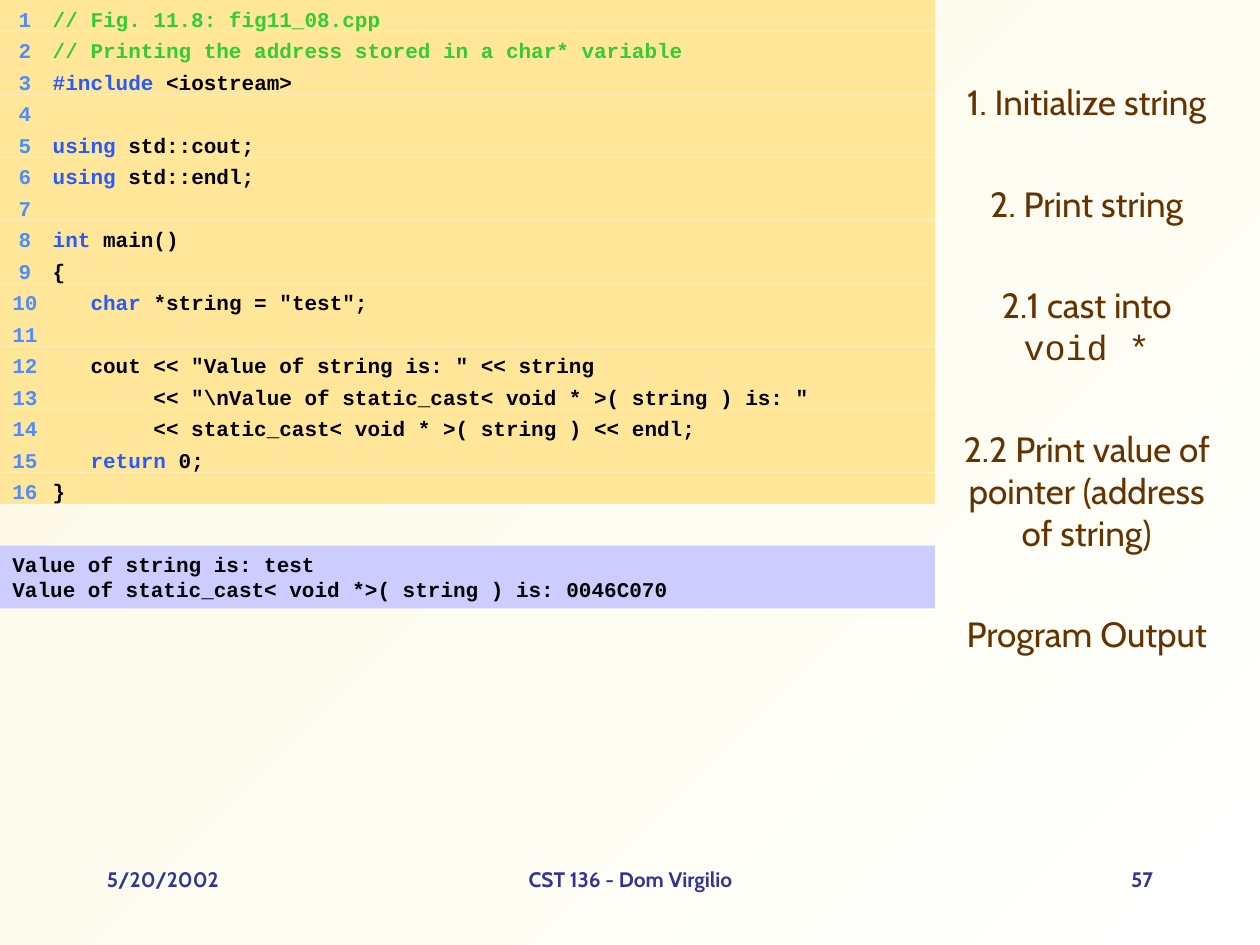
"""Build a code listing slide with its output, side notes and footer."""
from lxml import etree
from pptx import Presentation
from pptx.dml.color import RGBColor
from pptx.enum import shapes, text
from pptx.oxml import ns
from pptx.util import Inches, Pt

THEME = {
    "mono": "Courier New", "sans": "Cabin", "small": 12, "large": 20, "gap": 34,
    "code": "FFE699", "out": "CCCCFF", "num": "4D8DFF", "note": "663300",
    "rem": "33CC33", "key": "275AFF", "ink": "000000", "foot": "333399",
    "back": ("FFFFFF", "FBF8E1"),
}
CODE = [
    [("rem", "// Fig. 11.8: fig11_08.cpp")],
    [("rem", "// Printing the address stored in a char* variable")],
    [("key", "#include"), ("ink", " <iostream>")],
    [],
    [("key", "using"), ("ink", " std::cout;")],
    [("key", "using"), ("ink", " std::endl;")],
    [],
    [("key", "int"), ("ink", " main()")],
    [("ink", "{")],
    [("key", "   char"), ("ink", ' *string = "test";')],
    [],
    [("ink", '   cout << "Value of string is: " << string')],
    [("ink", '        << "\\nValue of static_cast< void * >( string ) is: "')],
    [("ink", "        << static_cast< void * >( string ) << endl;")],
    [("key", "   return"), ("ink", " 0;")],
    [("ink", "}")],
]
OUTPUT = ["Value of string is: test",
          "Value of static_cast< void *>( string ) is: 0046C070"]
NOTES = [
    [("sans", "1. Initialize string")],
    [("sans", "2. Print string")],
    [("sans", "2.1 cast into "), ("mono", "void *")],
    [("sans", "2.2 Print value of pointer (address of string)")],
    [("sans", "Program Output")],
]
ALIGN = text.PP_ALIGN
FOOTER = [
    ("5/20/2002", 0.75, 2.08, ALIGN.LEFT),
    ("CST 136 - Dom Virgilio", 3.42, 3.17, ALIGN.CENTER),
    ("57", 7.17, 2.08, ALIGN.RIGHT),
]
TABS = [(0.15, "r"), (0.32, "l")]
WIDE, ROW = 7.42, 0.25


def paint(run, face, size, tint, bold=False):
    font = run.font
    font.name, font.size, font.bold = THEME[face], Pt(THEME[size]), bold
    font.color.rgb = RGBColor.from_string(THEME[tint])


def add_run(para, words, *style):
    run = para.add_run()
    run.text = words
    paint(run, *style)


def add_tabs(para):
    stops = etree.SubElement(para._p.get_or_add_pPr(), ns.qn("a:tabLst"))
    for pos, side in TABS:
        etree.SubElement(stops, ns.qn("a:tab"), pos=str(Inches(pos)), algn=side)


def add_bar(group, top, high, tint):
    bar = group.add_shape(shapes.MSO_SHAPE.RECTANGLE, 0, Inches(top),
                          Inches(WIDE), Inches(high))
    bar.shadow.inherit = False
    bar.fill.solid()
    bar.fill.fore_color.rgb = RGBColor.from_string(THEME[tint])
    bar.line.fill.background()
    frame = bar.text_frame
    frame.word_wrap = True
    frame.vertical_anchor = text.MSO_ANCHOR.TOP
    return frame


def add_box(slide, left, top, wide, high):
    box = slide.shapes.add_textbox(*map(Inches, (left, top, wide, high)))
    box.text_frame.word_wrap = True
    return box.text_frame


def add_code(slide):
    group = slide.shapes.add_group_shape()
    for num, parts in enumerate(CODE, 1):
        para = add_bar(group.shapes, (num - 1) * ROW, ROW, "code").paragraphs[0]
        para.alignment = ALIGN.LEFT
        add_tabs(para)
        add_run(para, f"\t{num}\t", "mono", "small", "num", True)
        for tint, words in parts:
            add_run(para, words, "mono", "small", tint, True)


def add_output(slide):
    frame = add_bar(slide.shapes, 4.33, 2 * ROW, "out")
    frame.text = "\n".join(OUTPUT)
    for para in frame.paragraphs:
        para.alignment = ALIGN.LEFT
        paint(para.runs[0], "mono", "small", "ink", True)


def add_notes(slide):
    frame = add_box(slide, 7.5, 0.17, 2.25, 6.33)
    frame.margin_top = Inches(0.47)
    for row, parts in enumerate(NOTES):
        para = frame.add_paragraph() if row else frame.paragraphs[0]
        para.alignment = ALIGN.CENTER
        if row:
            para.space_before = Pt(THEME["gap"])
        for face, words in parts:
            add_run(para, words, face, "large", "note")


def add_footer(slide):
    for words, left, wide, side in FOOTER:
        frame = add_box(slide, left, 6.83, wide, 0.5)
        frame.text = words
        para = frame.paragraphs[0]
        para.alignment = side
        paint(para.runs[0], "sans", "small", "foot", True)


def main():
    deck = Presentation()
    deck.slide_width, deck.slide_height = Inches(10), Inches(7.5)
    slide = deck.slides.add_slide(deck.slide_layouts[6])
    fill = slide.background.fill
    fill.gradient()
    fill.gradient_angle = 135
    for stop, tint in zip(fill.gradient_stops, THEME["back"]):
        stop.color.rgb = RGBColor.from_string(tint)
    add_notes(slide)
    add_code(slide)
    add_output(slide)
    add_footer(slide)
    deck.save("out.pptx")


if __name__ == "__main__":
    main()
